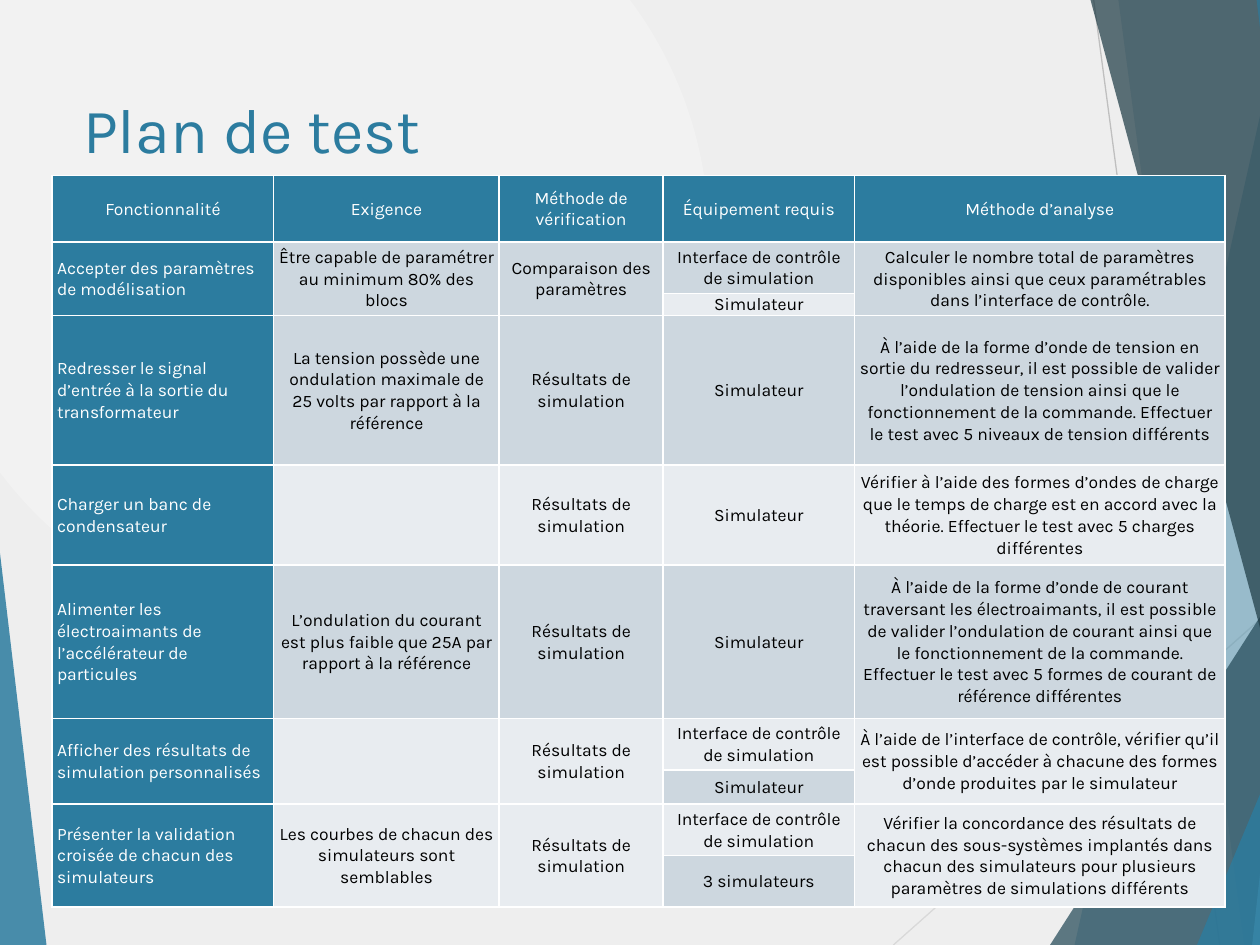
from lxml import etree
from pptx import Presentation
from pptx.dml.color import RGBColor
from pptx.enum.shapes import MSO_CONNECTOR, MSO_SHAPE
from pptx.enum.text import MSO_ANCHOR, PP_ALIGN
from pptx.oxml.ns import qn
from pptx.util import Pt

STRAIGHT = MSO_CONNECTOR.STRAIGHT
TRIANGLE = MSO_SHAPE.ISOSCELES_TRIANGLE
LEFT, CENTER = PP_ALIGN.LEFT, PP_ALIGN.CENTER
TOP, MIDDLE = MSO_ANCHOR.TOP, MSO_ANCHOR.MIDDLE
BLUE, WHITE, BLACK = "2C7C9F", "FFFFFF", "000000"
MEDIUM, PALE = "CDD7DF", "E8ECF0"


def rgb(value):
    return RGBColor.from_string(value)


def write_text(frame, text, size=10, color=BLACK, align=CENTER, spacing=1.07):
    paragraph = frame.paragraphs[0]
    paragraph.alignment = align
    paragraph.line_spacing = spacing
    run = paragraph.add_run()
    run.text = text
    run.font.name = "Karla"
    run.font.size = Pt(size)
    run.font.bold = False
    run.font.color.rgb = rgb(color)


presentation = Presentation()
presentation.slide_width, presentation.slide_height = Pt(720), Pt(540)
slide = presentation.slides.add_slide(presentation.slide_layouts[5])

background = slide.background.fill
background.gradient()
for stop, color in zip(background.gradient_stops, ("F2F2F2", "EEEEEE")):
    stop.color.rgb = rgb(color)
gradient = slide.element.find(".//" + qn("a:gradFill"))
gradient.remove(gradient.find(qn("a:lin")))
circle = etree.SubElement(gradient, qn("a:path"), path="circle")
etree.SubElement(circle, qn("a:fillToRect"), l="50000", t="50000", r="100000", b="100000")

for x1, y1, x2, y2, color in [
    (625, 0, 697, 540, "BFBFBF"),
    (792, 290, 510.5, 540, "D9D9D9"),
]:
    line = slide.shapes.add_connector(STRAIGHT, Pt(x1), Pt(y1), Pt(x2), Pt(y2))
    line.line.color.rgb = rgb(color)
    line.line.width = Pt(0.75)
    etree.SubElement(line.element.spPr, qn("a:effectLst"))

# facets = []
facets = [
    ("wedge", (735, 614), BLUE, 30),
    ("wedge", (639, 711), BLUE, 20),
    ("triangle", (600, 240, 192, 300, 1), "244A58", 72),
    ("wedge", (623, 769), "1B3842", 70),
    ("wedge", (775.5, 715.5), "6FB7D7", 70),
    ("wedge", (718, 783), BLUE, 65),
    ("triangle", (684, 283, 107.5, 257, 1), BLUE, 80),
    ("triangle", (0, 316, 26.6, 224, 0), BLUE, 85),
]
for kind, geometry, color, opacity in facets:
    if kind == "wedge":
        top_x, bottom_x = geometry
        builder = slide.shapes.build_freeform(Pt(top_x), Pt(-0.7))
        corners = [(792, -0.7), (792, 540), (bottom_x, 540)]
        builder.add_line_segments([(Pt(x), Pt(y)) for x, y in corners], close=True)
        shape = builder.convert_to_shape()
    else:
        *box, apex = geometry
        shape = slide.shapes.add_shape(TRIANGLE, *map(Pt, box))
        shape.adjustments[0] = apex
    shape.shadow.inherit = False
    shape.fill.solid()
    shape.fill.fore_color.rgb = rgb(color)
    shape.line.fill.background()
    color_element = shape.element.spPr.find(qn("a:solidFill"))[0]
    etree.SubElement(color_element, qn("a:alpha"), val=str(opacity * 1000))

title = slide.shapes.title
title.left, title.top, title.width, title.height = Pt(40.3), Pt(48.2), Pt(507.6), Pt(103.7)
title.text_frame.vertical_anchor = TOP
write_text(title.text_frame, "Plan de test", size=36, color=BLUE, align=LEFT, spacing=1)

SIMULATION = "Résultats de simulation"
INTERFACE = "Interface de contrôle de simulation"
rows = [
    (38, BLUE, ["Fonctionnalité", "Exigence", "Méthode de vérification",
                "Équipement requis", "Méthode d’analyse"]),
    (29.5, MEDIUM, ["Accepter des paramètres de modélisation",
                    "Être capable de paramétrer au minimum 80% des blocs",
                    "Comparaison des paramètres", INTERFACE,
                    "Calculer le nombre total de paramètres disponibles ainsi que ceux "
                    "paramétrables dans l’interface de contrôle."]),
    (10.3, PALE, ["", "", "", "Simulateur", ""]),
    (85.7, MEDIUM, ["Redresser le signal d’entrée à la sortie du transformateur",
                    "La tension possède une ondulation maximale de 25 volts par rapport "
                    "à la référence", SIMULATION, "Simulateur",
                    "À l’aide de la forme d’onde de tension en sortie du redresseur, il est "
                    "possible de valider l’ondulation de tension ainsi que le fonctionnement "
                    "de la commande. Effectuer le test avec 5 niveaux de tension différents"]),
    (57, PALE, ["Charger un banc de condensateur", "", SIMULATION, "Simulateur",
                "Vérifier à l’aide des formes d’ondes de charge que le temps de charge est "
                "en accord avec la théorie. Effectuer le test avec 5 charges différentes"]),
    (87.7, MEDIUM, ["Alimenter les électroaimants de l’accélérateur de particules",
                    "L’ondulation du courant est plus faible que 25A par rapport à la référence",
                    SIMULATION, "Simulateur",
                    "À l’aide de la forme d’onde de courant traversant les électroaimants, il "
                    "est possible de valider l’ondulation de courant ainsi que le "
                    "fonctionnement de la commande. Effectuer le test avec 5 formes de courant "
                    "de référence différentes"]),
    (29.5, PALE, ["Afficher des résultats de simulation personnalisés", "", SIMULATION, INTERFACE,
                  "À l’aide de l’interface de contrôle, vérifier qu’il est possible d’accéder "
                  "à chacune des formes d’onde produites par le simulateur"]),
    (19.4, MEDIUM, ["", "", "", "Simulateur", ""]),
    (29.5, PALE, ["Présenter la validation croisée de chacun des simulateurs",
                  "Les courbes de chacun des simulateurs sont semblables", SIMULATION, INTERFACE,
                  "Vérifier la concordance des résultats de chacun des sous-systèmes implantés "
                  "dans chacun des simulateurs pour plusieurs paramètres de simulations "
                  "différents"]),
    (29.5, MEDIUM, ["", "", "", "3 simulateurs", ""]),
]
column_widths = [126.7, 128.9, 93.6, 109.4, 211.7]
table = slide.shapes.add_table(len(rows), len(column_widths), Pt(29.7), Pt(100.2),
                               Pt(sum(column_widths)), Pt(sum(row[0] for row in rows))).table
for column, width in zip(table.columns, column_widths):
    column.width = Pt(width)

for row_index, (height, row_fill, texts) in enumerate(rows):
    table.rows[row_index].height = Pt(height)
    for column_index, text in enumerate(texts):
        cell = table.cell(row_index, column_index)
        cell.margin_left = cell.margin_right = Pt(2.9)
        cell.margin_top = cell.margin_bottom = 0
        cell.vertical_anchor = MIDDLE
        label = row_index == 0 or column_index == 0
        cell.fill.solid()
        cell.fill.fore_color.rgb = rgb(BLUE if label else row_fill)
        if text:
            write_text(cell.text_frame, text, color=WHITE if label else BLACK,
                       align=LEFT if column_index == 0 and row_index else CENTER)
        properties = cell._tc.get_or_add_tcPr()
        for position, side in enumerate(("a:lnL", "a:lnR", "a:lnT", "a:lnB")):
            border = etree.Element(qn(side), w=str(Pt(1)))
            border_fill = etree.SubElement(border, qn("a:solidFill"))
            etree.SubElement(border_fill, qn("a:srgbClr"), val=WHITE)
            properties.insert(position, border)

for row_index in (1, 6, 8):
    for column_index in (0, 1, 2, 4):
        table.cell(row_index, column_index).merge(table.cell(row_index + 1, column_index))

presentation.save("out.pptx")
